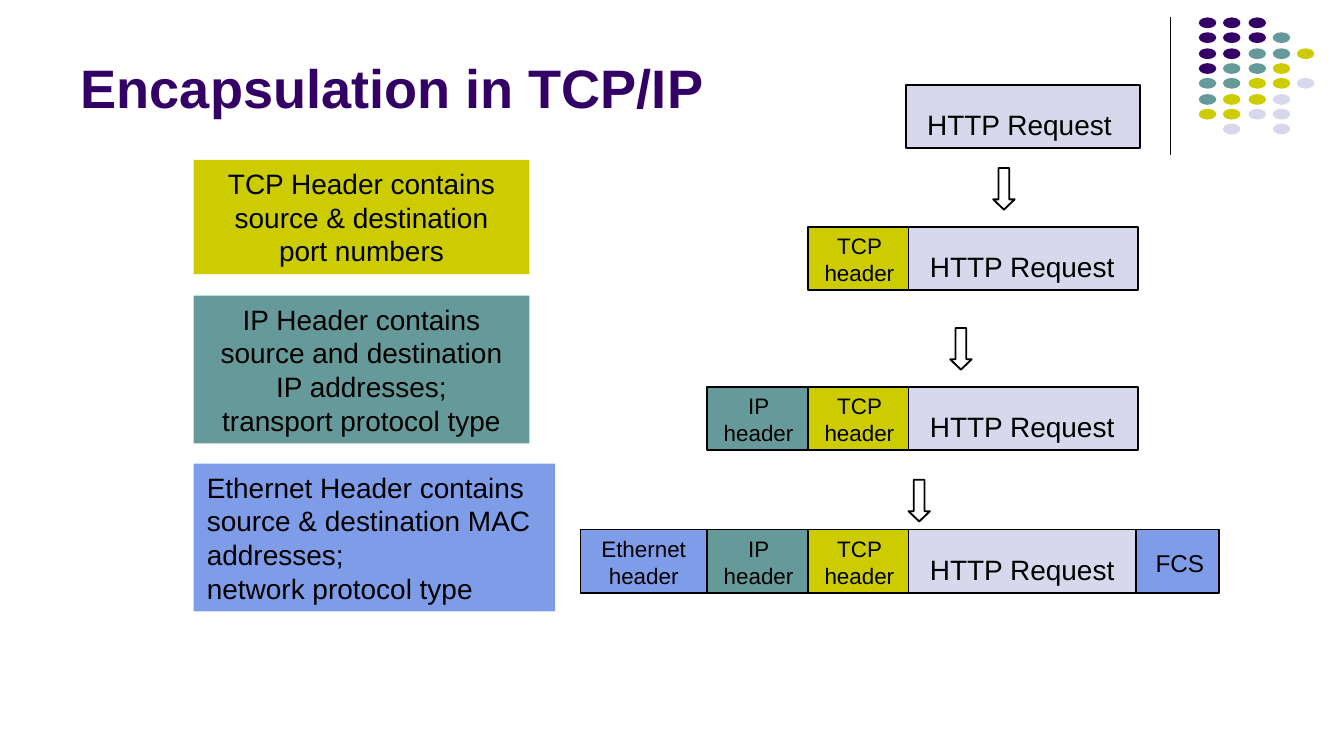
from pptx import Presentation, util as u
from pptx.dml.color import RGBColor
from pptx.enum import shapes, text
from pptx.oxml import parse_xml
from pptx.oxml.ns import nsdecls


class Theme:
    font = "Arial"
    ink, white = "000000", "FFFFFF"
    plum, teal, lime = "330066", "669999", "CCCC00"
    pale, blue = "D8D8EC", "7E9CE8"
    title, body, fcs, head = 29, 15, 13, 12


PX = 9144  # 100 px to the inch
KIND = shapes.MSO_SHAPE
LEFT, MID = text.PP_ALIGN.LEFT, text.PP_ALIGN.CENTER
TOP, CORE = text.MSO_ANCHOR.TOP, text.MSO_ANCHOR.MIDDLE
WIDE, SLIM = (10, 5), (7, 4)  # side and top insets


def draw(kind, x, y, w, h, fill, line=None):
    item = slide.shapes.add_shape(kind, x * PX, y * PX, w * PX, h * PX)
    item.shadow.inherit = False
    item.fill.solid()
    item.fill.fore_color.rgb = RGBColor.from_string(fill)
    if line:
        item.line.color.rgb = RGBColor.from_string(line)
        item.line.width = u.Pt(1)
    else:
        item.line.fill.background()
    return item


def write(item, words, size, color, align, anchor, pads, bold=False):
    frame = item.text_frame
    frame.text = words
    frame.word_wrap = True
    frame.auto_size = text.MSO_AUTO_SIZE.NONE
    frame.vertical_anchor = anchor
    frame.margin_left = frame.margin_right = pads[0] * PX
    frame.margin_top = frame.margin_bottom = pads[1] * PX
    para = frame.paragraphs[0]
    para.alignment = align
    for run in para.runs:
        run.font.name = Theme.font
        run.font.size = u.Pt(size)
        run.font.bold = bold
        run.font.color.rgb = RGBColor.from_string(color)


deck = Presentation()
deck.slide_width = 1000 * PX
deck.slide_height = deck.slide_width * 9 // 16
slide = deck.slides.add_slide(deck.slide_layouts[5])

# Title
title = slide.shapes.title
title.left, title.top, title.width, title.height = [
    n * PX for n in (50, 10, 825, 84)]
write(title, "Encapsulation in TCP/IP", Theme.title, Theme.plum, LEFT,
      text.MSO_ANCHOR.BOTTOM, WIDE, True)

# Corner rule and dots
rule = slide.shapes.add_connector(
    shapes.MSO_CONNECTOR.STRAIGHT, 871 * PX, 13 * PX, 871 * PX, 115 * PX)
rule.line.color.rgb = RGBColor.from_string(Theme.ink)
rule.line.width = u.Pt(0.75)
rule._element.spPr.append(parse_xml(f"<a:effectLst {nsdecls('a')}/>"))

tints = {"P": Theme.plum, "T": Theme.teal, "L": Theme.lime, "G": Theme.pale}
dots = ["PPP", "PPPT", "PPTTL", "PTTL", "TTLLG", "TLLG", "LLGG", ".G.G"]
for row, marks in enumerate(dots):
    for col, mark in enumerate(marks):
        if mark in tints:
            draw(KIND.OVAL, round(892 + 18.3 * col), round(13 + 11.3 * row),
                 13, 8, tints[mark])

# Notes on each header
notes = [
    (119, 250, 85, Theme.lime, MID,
     "TCP Header contains source & destination port numbers"),
    (220, 250, 110, Theme.teal, MID,
     "IP Header contains source and destination IP addresses;\v"
     "transport protocol type"),
    (345, 269, 110, Theme.blue, LEFT,
     "Ethernet Header contains source & destination MAC addresses;\v"
     "network protocol type"),
]
for y, w, h, fill, align, words in notes:
    note = draw(KIND.RECTANGLE, 144, y, w, h, fill)
    write(note, words, Theme.body, Theme.ink, align, CORE, WIDE)

# Arrows between the layers
for x, y in [(739, 125), (707, 244), (676, 357)]:
    arrow = draw(KIND.DOWN_ARROW, x, y, 16, 31, Theme.white, Theme.ink)
    arrow.adjustments[0], arrow.adjustments[1] = 0.5, 0.476

# Packet parts: x, width, fill
parts = {
    "Ethernet header": (432, 94, Theme.blue),
    "IP header": (526, 77, Theme.teal),
    "TCP header": (601, 77, Theme.lime),
    "HTTP Request": (676, 171, Theme.pale),
    "FCS": (845, 62, Theme.blue),
}
# Labels set apart from their box: offset x and y, width, height, size
labels = {
    "HTTP Request": (6, 12, 166, 35, Theme.body),
    "FCS": (5, 9, 56, 32, Theme.fcs),
}
names = list(parts)
layers = [(63, names[3:4]), (169, names[2:4]), (288, names[1:4]), (394, names)]
for y, stack in layers:
    for name in stack:
        x, w, fill = parts[name]
        if len(stack) == 1:  # the bare request is slightly wider
            x, w = x - 2, w + 3
        part = draw(KIND.RECTANGLE, x, y, w, 47, fill, Theme.ink)
        if name in labels:
            dx, dy, wide, high, size = labels[name]
            label = slide.shapes.add_textbox(
                (x + dx) * PX, (y + dy) * PX, wide * PX, high * PX)
            write(label, name, size, Theme.ink, LEFT, TOP, WIDE)
        else:
            write(part, name, Theme.head, Theme.ink, MID, TOP, SLIM)

deck.save("out.pptx")
